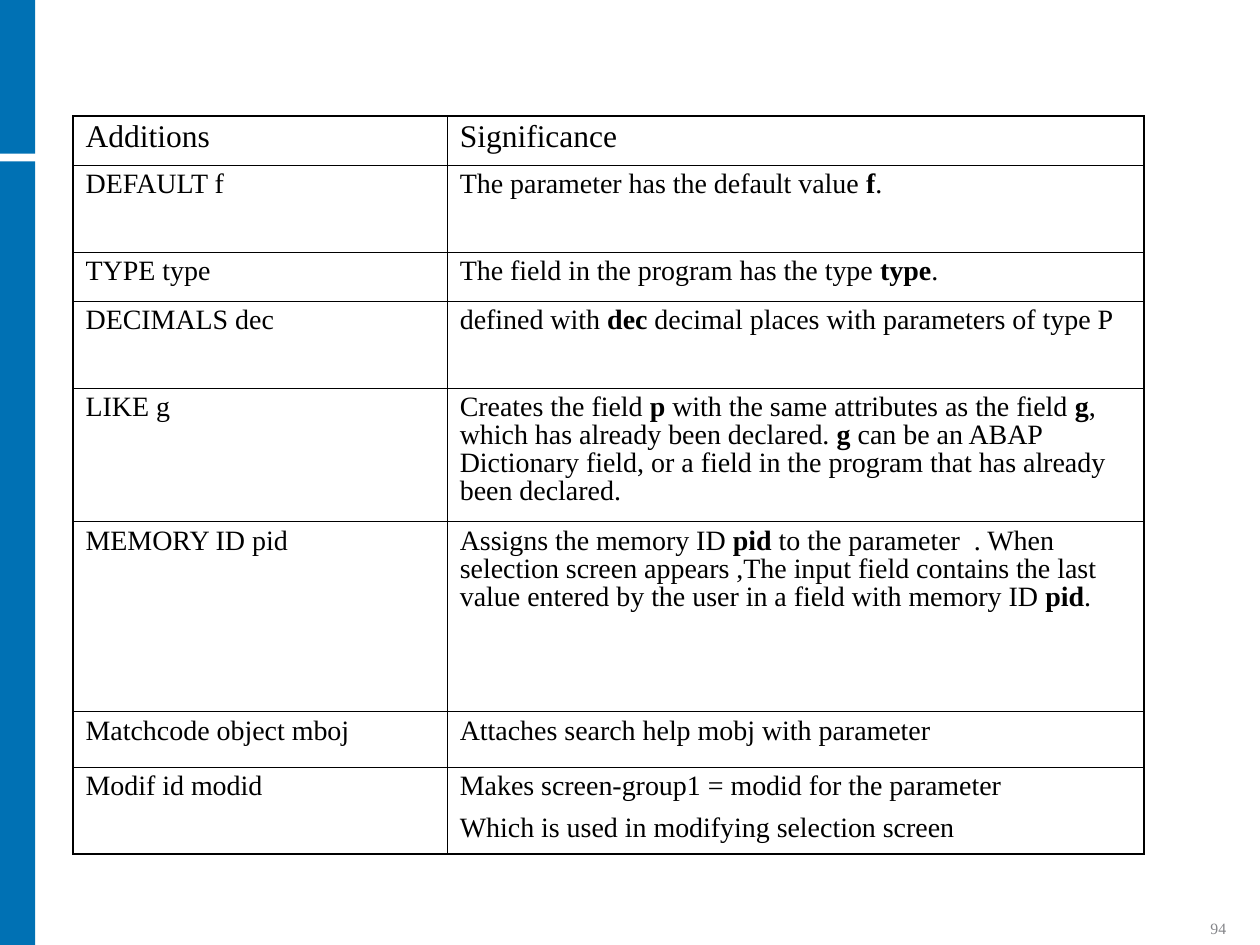
from lxml.etree import SubElement
from pptx import Presentation
from pptx.dml.color import RGBColor
from pptx.enum.shapes import MSO_SHAPE
from pptx.enum.text import MSO_ANCHOR, PP_ALIGN
from pptx.oxml.ns import qn
from pptx.util import Inches, Pt

FONT = "Times New Roman"
BLUE, BLACK, GREY = "0071B4", "000000", "848589"
OUTER_LINE, INNER_LINE = 1.08, 0.45
COLUMN_WIDTHS = [2.97, 5.53]
ROW_HEIGHTS = [0.39, 0.69, 0.39, 0.69, 1.06, 1.51, 0.44, 0.69]

# Words between asterisks are bold; a line break starts a new paragraph.
ROWS = [
    ("Additions", "Significance"),
    ("DEFAULT f", "The parameter has the default value *f*."),
    ("TYPE type", "The field in the program has the type *type*."),
    ("DECIMALS dec", "defined with *dec* decimal places with parameters of type P"),
    ("LIKE g",
     "Creates the field *p* with the same attributes as the field *g*, which has "
     "already been declared. *g* can be an ABAP Dictionary field, or a field in "
     "the program that has already been declared."),
    ("MEMORY ID pid",
     "Assigns the memory ID *pid* to the parameter  . When selection screen "
     "appears ,The input field contains the last value entered by the user in a "
     "field with memory ID *pid*."),
    ("Matchcode object mboj", "Attaches search help mobj with parameter"),
    ("Modif id modid",
     "Makes screen-group1 = modid for the parameter\n"
     "Which is used in modifying selection screen"),
]


def color(hex_value):
    return RGBColor.from_string(hex_value)


def format_run(run, size, hex_value, bold=False):
    run.font.name = FONT
    run.font.size = Pt(size)
    run.font.bold = bold
    run.font.color.rgb = color(hex_value)


def add_bar(slide, top, height, width=0.28):
    bar = slide.shapes.add_shape(
        MSO_SHAPE.RECTANGLE, 0, Inches(top), Inches(width), Inches(height))
    bar.shadow.inherit = False
    bar.fill.solid()
    bar.fill.fore_color.rgb = color(BLUE)
    bar.line.fill.background()


def set_borders(cell, widths):
    """Draw the left, right, top and bottom lines, with widths in points."""
    properties = cell._tc.get_or_add_tcPr()
    for position, (side, width) in enumerate(zip("LRTB", widths)):
        line = SubElement(properties, qn(f"a:ln{side}"), w=str(Pt(width)))
        fill = SubElement(line, qn("a:solidFill"))
        SubElement(fill, qn("a:srgbClr"), val=BLACK)
        properties.insert(position, line)


def fill_cell(cell, text, size):
    cell.fill.background()
    frame = cell.text_frame
    for index, line in enumerate(text.split("\n")):
        paragraph = frame.add_paragraph() if index else frame.paragraphs[0]
        paragraph.line_spacing = 0.9
        paragraph.space_before = Pt(6 if index else 0)
        paragraph.space_after = Pt(2)
        for part, words in enumerate(line.split("*")):
            run = paragraph.add_run()
            run.text = words
            format_run(run, size, BLACK, bold=part % 2 == 1)


def add_additions_table(slide, left, top):
    last_row, last_column = len(ROWS) - 1, len(COLUMN_WIDTHS) - 1
    frame = slide.shapes.add_table(
        len(ROWS), len(COLUMN_WIDTHS), Inches(left), Inches(top),
        Inches(sum(COLUMN_WIDTHS)), Inches(sum(ROW_HEIGHTS)))
    table = frame.table
    table.first_row = table.horz_banding = False
    for column, width in zip(table.columns, COLUMN_WIDTHS):
        column.width = Inches(width)
    for row_index, (height, texts) in enumerate(zip(ROW_HEIGHTS, ROWS)):
        table.rows[row_index].height = Inches(height)
        for column_index, text in enumerate(texts):
            cell = table.cell(row_index, column_index)
            fill_cell(cell, text, size=16 if row_index else 18)
            on_edge = [column_index == 0, column_index == last_column,
                       row_index == 0, row_index == last_row]
            set_borders(cell, [OUTER_LINE if edge else INNER_LINE for edge in on_edge])


def add_page_number(slide, number):
    box = slide.shapes.add_textbox(Inches(9), Inches(7.25), Inches(0.83), Inches(0.24))
    frame = box.text_frame
    frame.word_wrap = True
    frame.vertical_anchor = MSO_ANCHOR.BOTTOM
    frame.text = number
    paragraph = frame.paragraphs[0]
    paragraph.alignment = PP_ALIGN.RIGHT
    format_run(paragraph.runs[0], 9, GREY)


def main():
    presentation = Presentation()
    presentation.slide_width, presentation.slide_height = Inches(10), Inches(7.5)
    slide = presentation.slides.add_slide(presentation.slide_layouts[6])
    add_bar(slide, top=1.28, height=6.22)
    add_bar(slide, top=0, height=1.22)
    add_additions_table(slide, left=0.58, top=0.92)
    add_page_number(slide, "94")
    presentation.save("out.pptx")


if __name__ == "__main__":
    main()
